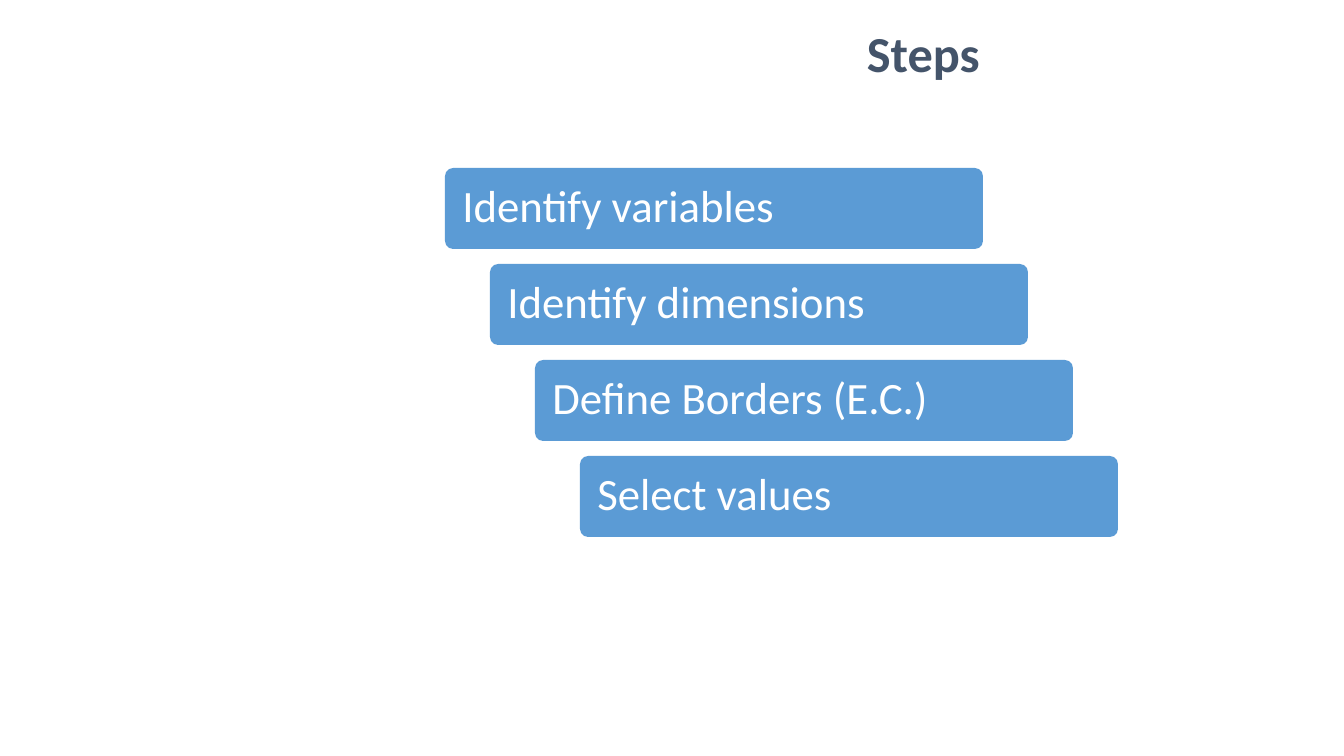
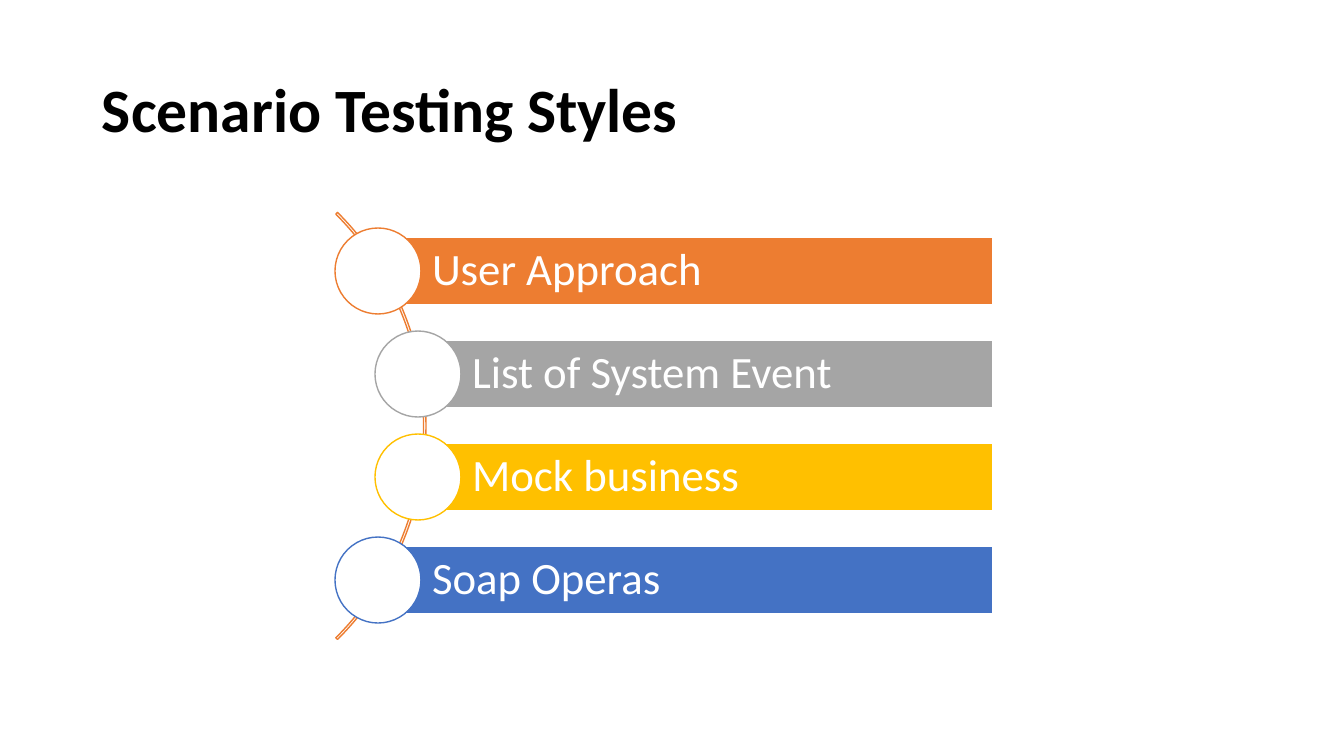
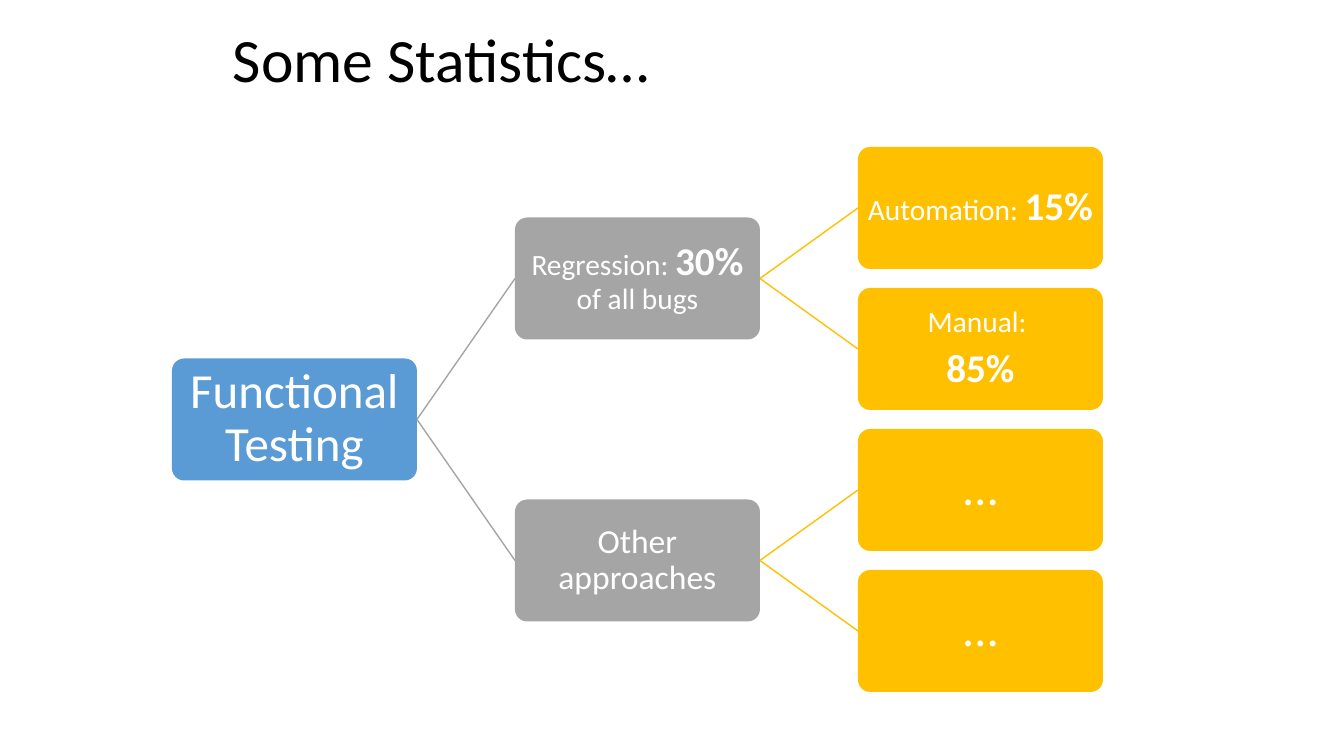
from lxml import etree
from pptx import Presentation
from pptx import util as u
from pptx.dml.color import RGBColor
from pptx.enum import shapes, text
from pptx.oxml import ns

PX = 12192000 / 1344
FONT = "Calibri"
WHITE, BLACK, SLATE = "FFFFFF", "000000", "44546A"
BLUE, ORANGE, GRAY, GOLD, INDIGO = "5B9BD5", "ED7D31", "A5A5A5", "FFC000", "4472C4"
PRESET = shapes.MSO_SHAPE
LEFT, CENTER = text.PP_ALIGN.LEFT, text.PP_ALIGN.CENTER


def add_box(slide, preset, bounds, fill=None, line=None):
    shape = slide.shapes.add_shape(preset, *[round(value * PX) for value in bounds])
    shape.shadow.inherit = False
    if fill:
        shape.fill.solid()
        shape.fill.fore_color.rgb = RGBColor.from_string(fill)
    else:
        shape.fill.background()
    if line:
        shape.line.color.rgb = RGBColor.from_string(line)
        shape.line.width = u.Pt(1)
    else:
        shape.line.fill.background()
    return shape


def write(shape, paragraphs, color=WHITE, align=LEFT, inset=10, left_inset=None):
    frame = shape.text_frame
    frame.word_wrap = True
    frame.vertical_anchor = text.MSO_ANCHOR.MIDDLE
    frame.margin_left = round((left_inset or inset) * PX)
    frame.margin_right = frame.margin_top = frame.margin_bottom = round(inset * PX)
    for index, runs in enumerate(paragraphs):
        paragraph = frame.add_paragraph() if index else frame.paragraphs[0]
        paragraph.alignment = align
        paragraph.line_spacing = 0.9
        if index:
            paragraph.space_before = u.Pt(7)
        for words, size, bold in runs:
            run = paragraph.add_run()
            run.text = words
            run.font.name = FONT
            run.font.size = u.Pt(size)
            run.font.bold = bold
            run.font.color.rgb = RGBColor.from_string(color)


presentation = Presentation()
presentation.slide_width = round(1344 * PX)
presentation.slide_height = round(756 * PX)

titles = [
    ("Steps", (857, 25, 294, 63), 36, True, SLATE),
    ("Scenario Testing Styles", (92, 40, 1159, 146), 44, True, BLACK),
    ("Some Statistics…", (223, 0, 907, 126), 44, False, BLACK),
]
slides = []
for words, bounds, size, bold, color in titles:
    slide = presentation.slides.add_slide(presentation.slide_layouts[6])
    title = slide.shapes.add_textbox(*[round(value * PX) for value in bounds])
    write(title, [[(words, size, bold)]], color)
    slides.append(slide)
steps_slide, styles_slide, statistics_slide = slides

steps = ["Identify variables", "Identify dimensions", "Define Borders (E.C.)", "Select values"]
for index, words in enumerate(steps):
    bounds = (445 + 45 * index, 168 + 96 * index, 538, 81)
    step = add_box(steps_slide, PRESET.ROUNDED_RECTANGLE, bounds, BLUE)
    step.adjustments[0] = 0.1
    write(step, [[(words, 32, False)]], inset=15)

arc = add_box(styles_slide, PRESET.BLOCK_ARC, (-178, 124, 604, 604), line=ORANGE)
for index, value in enumerate([189, 27, 0.004]):
    arc.adjustments[index] = value

BAR_RIGHT, BAR_HEIGHT, CIRCLE = 993, 68, 86
styles = [
    ("User Approach", 378, ORANGE),
    ("List of System Event", 418, GRAY),
    ("Mock business", 418, GOLD),
    ("Soap Operas", 378, INDIGO),
]
for index, (words, left, color) in enumerate(styles):
    top = 237 + 103 * index
    bounds = (left, top, BAR_RIGHT - left, BAR_HEIGHT)
    bar = add_box(styles_slide, PRESET.RECTANGLE, bounds, color, WHITE)
    write(bar, [[(words, 32, False)]], inset=9, left_inset=54)
    bounds = (left - CIRCLE / 2, top + (BAR_HEIGHT - CIRCLE) / 2, CIRCLE, CIRCLE)
    add_box(styles_slide, PRESET.OVAL, bounds, WHITE, color)

NODE_WIDTH, NODE_HEIGHT, COLUMN_STEP, ROW_STEP = 245, 122, 343, 141
level_colors = [BLUE, GRAY, GOLD]
nodes = [
    (0, 1.5, None, [[("Functional Testing", 35, False)]]),
    (1, 0.5, 1.5, [[("Regression: ", 21, False), ("30% ", 28, True), ("of all bugs", 21, False)]]),
    (2, 0, 0.5, [[("Automation: ", 21, False), ("15%", 28, True)]]),
    (2, 1, 0.5, [[("Manual: ", 21, False)], [("85%", 28, True)]]),
    (1, 2.5, 1.5, [[("Other approaches", 24, False)]]),
    (2, 2, 2.5, [[("…", 35, False)]]),
    (2, 3, 2.5, [[("…", 35, False)]]),
]
for level, row, parent_row, paragraphs in nodes:
    left, top = 172 + COLUMN_STEP * level, 147 + ROW_STEP * row
    color = level_colors[level]
    node = add_box(statistics_slide, PRESET.ROUNDED_RECTANGLE,
                   (left, top, NODE_WIDTH, NODE_HEIGHT), color)
    node.adjustments[0] = 0.1
    write(node, paragraphs, align=CENTER, inset=5)
    if parent_row is not None:
        middle = top + NODE_HEIGHT / 2
        ends = (left - COLUMN_STEP + NODE_WIDTH, middle + ROW_STEP * (parent_row - row), left, middle)
        branch = statistics_slide.shapes.add_connector(
            shapes.MSO_CONNECTOR.STRAIGHT, *[round(value * PX) for value in ends])
        branch.line.color.rgb = RGBColor.from_string(color)
        branch.line.width = u.Pt(1)
        etree.SubElement(branch._element.spPr, ns.qn("a:effectLst"))

presentation.save("out.pptx")
